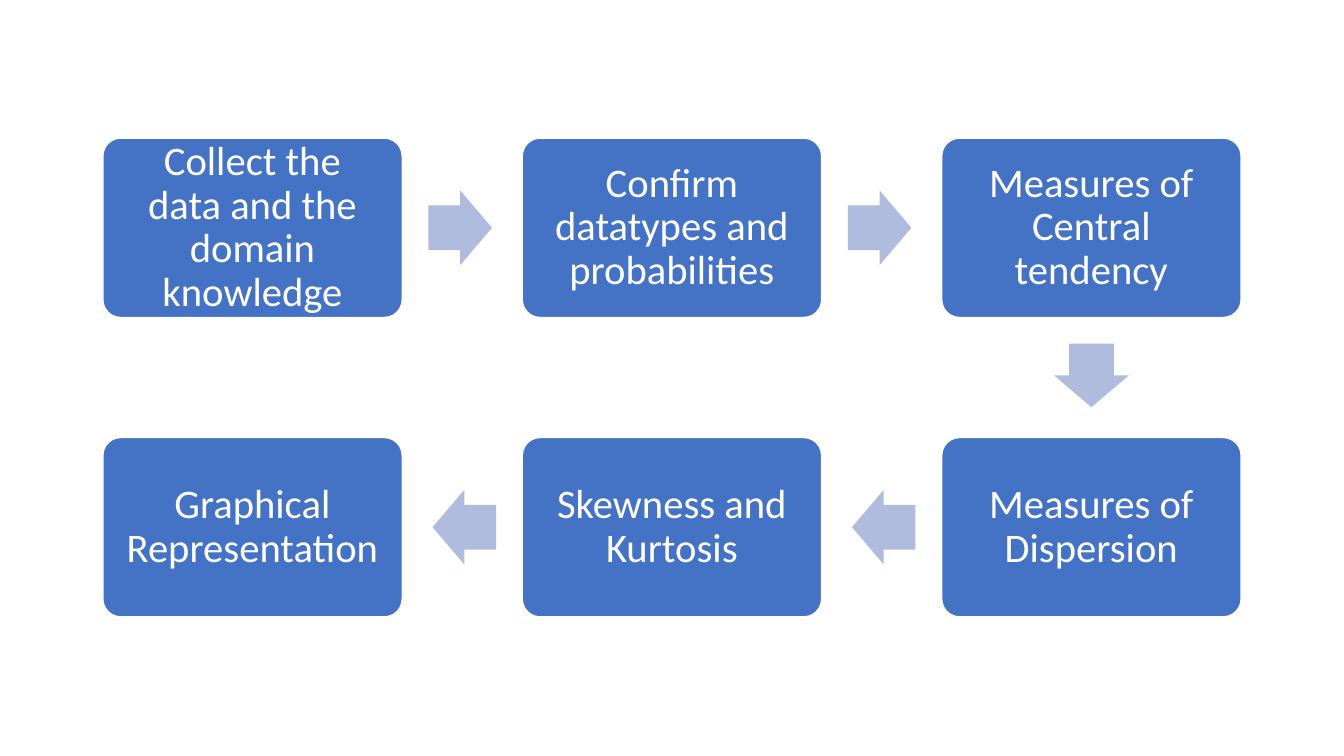
from dataclasses import dataclass
from itertools import pairwise

from pptx import Presentation
from pptx.dml.color import RGBColor
from pptx.enum.shapes import MSO_SHAPE
from pptx.enum.text import MSO_ANCHOR, PP_ALIGN
from pptx.util import Inches, Pt

BOX_WIDTH, BOX_HEIGHT = 2.97, 1.78
FIRST_LEFT, FIRST_TOP = 1.02, 1.37
COLUMN_STEP, ROW_STEP = 4.16, 2.97
ARROW_WIDTH, ARROW_HEIGHT = 0.63, 0.74
ARROW_SETBACK = 0.02
TEXT_INSET = 0.17
BLUE, PALE_BLUE, WHITE = "4472C4", "B0BCDE", "FFFFFF"


@dataclass(frozen=True)
class Step:
    text: str
    column: int
    row: int

    @property
    def left(self) -> float:
        return FIRST_LEFT + self.column * COLUMN_STEP

    @property
    def top(self) -> float:
        return FIRST_TOP + self.row * ROW_STEP


STEPS = [
    Step("Collect the data and the domain knowledge", 0, 0),
    Step("Confirm datatypes and probabilities", 1, 0),
    Step("Measures of Central tendency", 2, 0),
    Step("Measures of Dispersion", 2, 1),
    Step("Skewness and Kurtosis", 1, 1),
    Step("Graphical Representation", 0, 1),
]
ROTATIONS = {(1, 0): 0, (0, 1): 90, (-1, 0): 180}


def color(value: str) -> RGBColor:
    return RGBColor.from_string(value)


def add_filled(slide, kind: MSO_SHAPE, left: float, top: float,
               width: float, height: float, fill: str):
    shape = slide.shapes.add_shape(
        kind, Inches(left), Inches(top), Inches(width), Inches(height))
    shape.shadow.inherit = False
    shape.fill.solid()
    shape.fill.fore_color.rgb = color(fill)
    return shape


def draw_step(slide, step: Step) -> None:
    box = add_filled(slide, MSO_SHAPE.ROUNDED_RECTANGLE, step.left, step.top,
                     BOX_WIDTH, BOX_HEIGHT, BLUE)
    box.adjustments[0] = 0.1
    box.line.color.rgb = color(WHITE)
    box.line.width = Pt(1)
    frame = box.text_frame
    frame.word_wrap = True
    frame.vertical_anchor = MSO_ANCHOR.MIDDLE
    frame.margin_left = frame.margin_right = Inches(TEXT_INSET)
    frame.margin_top = frame.margin_bottom = Inches(TEXT_INSET)
    paragraph = frame.paragraphs[0]
    paragraph.alignment = PP_ALIGN.CENTER
    paragraph.line_spacing = 0.9
    run = paragraph.add_run()
    run.text = step.text
    run.font.name = "Calibri"
    run.font.size = Pt(29)
    run.font.color.rgb = color(WHITE)


def draw_arrow(slide, start: Step, end: Step) -> None:
    across, down = end.column - start.column, end.row - start.row
    center_x = (start.left + end.left + BOX_WIDTH) / 2 - ARROW_SETBACK * across
    center_y = (start.top + end.top + BOX_HEIGHT) / 2 - ARROW_SETBACK * down
    arrow = add_filled(slide, MSO_SHAPE.RIGHT_ARROW,
                       center_x - ARROW_WIDTH / 2, center_y - ARROW_HEIGHT / 2,
                       ARROW_WIDTH, ARROW_HEIGHT, PALE_BLUE)
    arrow.adjustments[0] = 0.6
    arrow.adjustments[1] = 0.5
    arrow.line.fill.background()
    arrow.rotation = ROTATIONS[across, down]


presentation = Presentation()
presentation.slide_width = Inches(13.33)
presentation.slide_height = Inches(7.5)
slide = presentation.slides.add_slide(presentation.slide_layouts[6])

for step in STEPS:
    draw_step(slide, step)
for start, end in pairwise(STEPS):
    draw_arrow(slide, start, end)

presentation.save("out.pptx")
